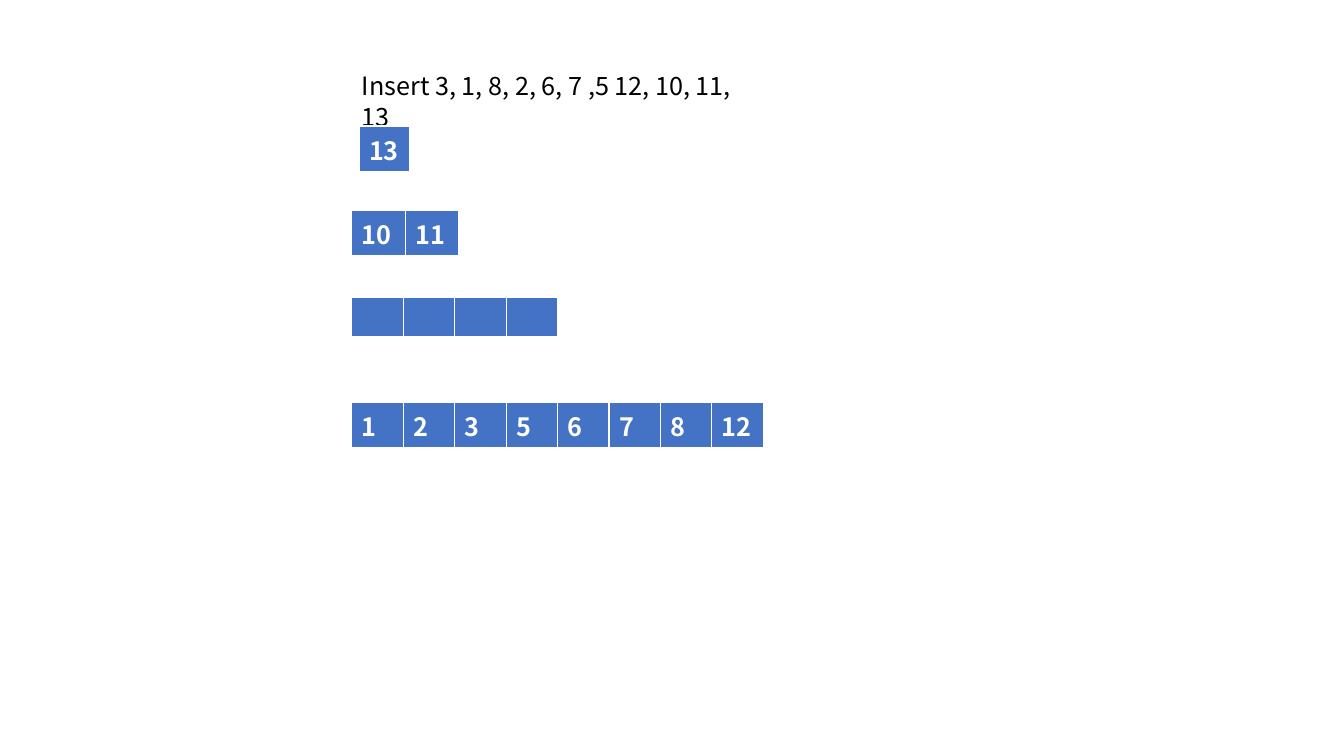
from dataclasses import dataclass

from lxml import etree
from pptx import Presentation, util as u
from pptx.dml.color import RGBColor
from pptx.enum import text
from pptx.oxml import ns


@dataclass(frozen=True)
class Theme:
    font: str = "Noto Sans CJK SC"
    size: int = 18
    ink: str = "000000"
    light: str = "FFFFFF"
    cell: str = "4472C4"


THEME = Theme()
LEFT = 3.49  # shared left edge
CELL_W, CELL_H = 0.51, 0.4  # grid cell of the arrays
BORDERS = {"lnL": 1, "lnR": 1, "lnT": 1, "lnB": 3}

# Each array: left, top, cell width, values
LEVELS = [
    (LEFT + 0.07, 1.25, 0.5, ["13"]),
    (LEFT, 2.09, 0.53, ["10", "11"]),
    (LEFT, 2.95, CELL_W, [""] * 4),
    (LEFT, 3.99, CELL_W, ["1", "2", "3", "5", "6", "7", "8", "12"]),
]


def format_runs(tf, color, bold=False):
    for p in tf.paragraphs:
        for r in p.runs:
            r.font.name = THEME.font
            r.font.size = u.Pt(THEME.size)
            r.font.bold = bold
            r.font.color.rgb = RGBColor.from_string(color)


def add_heading(s, wording):
    sp = s.shapes.title
    sp.left, sp.top = u.Inches(LEFT), u.Inches(0.65)
    sp.width, sp.height = u.Inches(8 * CELL_W), u.Inches(CELL_H)
    tf = sp.text_frame
    tf.text = wording
    tf.word_wrap = True
    tf.auto_size = text.MSO_AUTO_SIZE.NONE
    tf.vertical_anchor = text.MSO_ANCHOR.TOP
    tf.paragraphs[0].alignment = text.PP_ALIGN.LEFT
    format_runs(tf, THEME.ink)


def add_borders(cell):
    props = cell._tc.get_or_add_tcPr()
    for i, (side, points) in enumerate(BORDERS.items()):
        ln = etree.Element(ns.qn(f"a:{side}"), w=str(u.Pt(points)))
        fill = etree.SubElement(ln, ns.qn("a:solidFill"))
        etree.SubElement(fill, ns.qn("a:srgbClr"), val=THEME.light)
        props.insert(i, ln)


def add_array(s, left, top, cell_w, values):
    table = s.shapes.add_table(
        1, len(values), u.Inches(left), u.Inches(top),
        u.Inches(cell_w * len(values)), u.Inches(CELL_H)).table
    for i, value in enumerate(values):
        table.columns[i].width = u.Inches(cell_w)
        cell = table.cell(0, i)
        cell.text_frame.text = value
        format_runs(cell.text_frame, THEME.light, bold=True)
        cell.fill.solid()
        cell.fill.fore_color.rgb = RGBColor.from_string(THEME.cell)
        add_borders(cell)


def main():
    prs = Presentation()
    prs.slide_width, prs.slide_height = u.Inches(13.33), u.Inches(7.5)
    s = prs.slides.add_slide(prs.slide_layouts[5])  # title only

    # Inserted keys
    add_heading(s, "Insert 3, 1, 8, 2, 6, 7 ,5 12, 10, 11, 13")

    # Arrays of doubling length
    for level in LEVELS:
        add_array(s, *level)

    prs.save("out.pptx")


if __name__ == "__main__":
    main()
